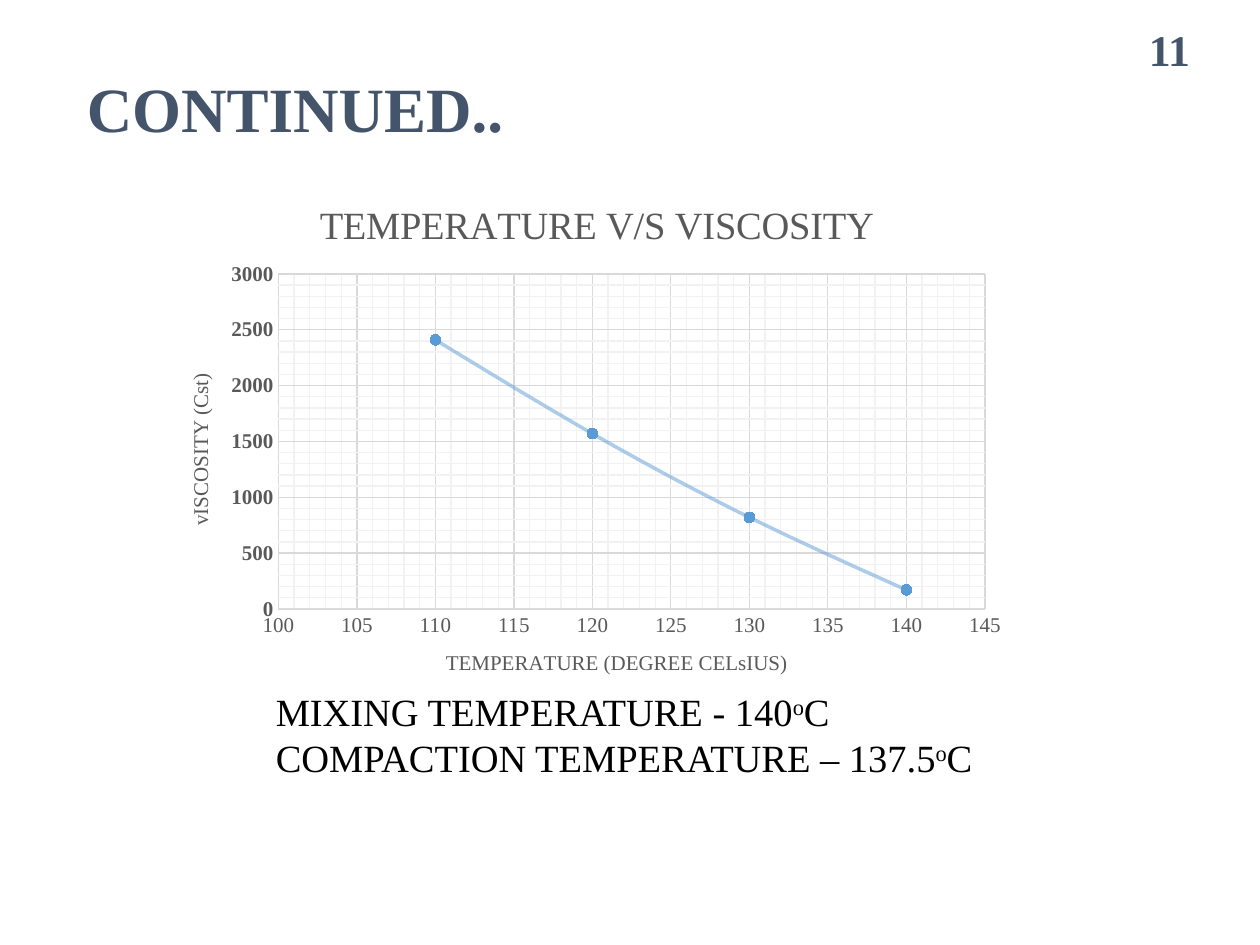
from copy import deepcopy

from lxml import etree
from pptx import Presentation
from pptx.chart.data import XyChartData
from pptx.dml.color import RGBColor
from pptx.enum.chart import XL_CHART_TYPE, XL_MARKER_STYLE, XL_TICK_MARK
from pptx.enum.text import MSO_ANCHOR
from pptx.oxml.ns import qn
from pptx.util import Cm, Pt

SMOOTH_SCATTER = XL_CHART_TYPE.XY_SCATTER_SMOOTH
CIRCLE = XL_MARKER_STYLE.CIRCLE
NO_TICK = XL_TICK_MARK.NONE
TOP, MIDDLE = MSO_ANCHOR.TOP, MSO_ANCHOR.MIDDLE

FONT = "Times New Roman"
COLORS = {"heading": "44546A", "body": "000000", "chart_text": "595959",
          "curve": "5B9BD5", "major": "D9D9D9", "minor": "F2F2F2"}

HEADING = "CONTINUED.."
PAGE_NUMBER = "11"
RESULTS = [("MIXING TEMPERATURE - 140", "o", "C"),
           ("COMPACTION TEMPERATURE – 137.5", "o", "C")]
CHART_TITLE = "TEMPERATURE V/S VISCOSITY"
VISCOSITY = [(110, 2410), (120, 1570), (130, 820), (140, 170)]
TEMPERATURE_AXIS = {"title": "TEMPERATURE (DEGREE CELsIUS)", "range": (100, 145),
                    "units": (5, 1), "bold": False, "title_at": {"x": 0.33, "y": 0.9}}
VISCOSITY_AXIS = {"title": "vISCOSITY (Cst)", "range": (0, 3000),
                  "units": (500, 100), "bold": True, "title_at": {"x": 0.03, "y": 0.38}}
PLOT_AREA = {"x": 0.14, "y": 0.2, "w": 0.82, "h": 0.63}


def color(name):
    return RGBColor.from_string(COLORS[name])


def style_font(font, size, color_name, bold=False):
    font.name = FONT
    font.size = Pt(size)
    font.bold = bold
    font.color.rgb = color(color_name)


def add_text(page, place, lines, size, color_name, bold=False, anchor=TOP, wrap=True):
    box = page.shapes.add_textbox(*(Cm(length) for length in place))
    frame = box.text_frame
    frame.word_wrap = wrap
    frame.vertical_anchor = anchor
    for number, pieces in enumerate(lines):
        para = frame.add_paragraph() if number else frame.paragraphs[0]
        style_font(para.font, size, color_name, bold)
        for piece in pieces:
            span = para.add_run()
            span.text = piece
            if piece == "o":
                span._r.get_or_add_rPr().set("baseline", "30000")
    return frame


def set_layout(element, index, fractions, inner=False):
    for old in element.findall(qn("c:layout")):
        element.remove(old)
    layout = etree.Element(qn("c:layout"))
    manual = etree.SubElement(layout, qn("c:manualLayout"))
    settings = [("layoutTarget", "inner")] if inner else []
    settings += [("xMode", "edge"), ("yMode", "edge"), *fractions.items()]
    for tag, value in settings:
        etree.SubElement(manual, qn("c:" + tag)).set("val", str(value))
    element.insert(index, layout)


def add_title(title, text, size, place):
    para = title.text_frame.paragraphs[0]
    para.text = text
    style_font(para.font, size, "chart_text")
    set_layout(title._element, 1, place)


def style_gridlines(axis):
    axis.has_major_gridlines = axis.has_minor_gridlines = True
    line = axis.major_gridlines.format.line
    line.color.rgb = color("major")
    line.width = Pt(0.75)
    major = axis._element.find(qn("c:majorGridlines"))
    minor = axis._element.find(qn("c:minorGridlines"))
    minor.append(deepcopy(major.find(qn("c:spPr"))))
    minor.find(".//" + qn("a:srgbClr")).set("val", COLORS["minor"])


def style_axis(axis, content):
    axis.minimum_scale, axis.maximum_scale = content["range"]
    axis.major_unit, axis.minor_unit = content["units"]
    axis.major_tick_mark = axis.minor_tick_mark = NO_TICK
    style_gridlines(axis)
    axis.format.line.fill.background()
    style_font(axis.tick_labels.font, 12, "chart_text", content["bold"])
    add_title(axis.axis_title, content["title"], 12, content["title_at"])


def add_viscosity_chart(page):
    data = XyChartData()
    points = data.add_series("Series 1")
    for temperature, viscosity in VISCOSITY:
        points.add_data_point(temperature, viscosity)
    chart = page.shapes.add_chart(SMOOTH_SCATTER, Cm(3.18), Cm(3.38),
                                  Cm(17.37), Cm(10.72), data).chart
    chart.has_legend = False
    style_font(chart.font, 10, "body")
    add_title(chart.chart_title, CHART_TITLE, 22, {"x": 0.18, "y": 0.05})
    style_axis(chart.category_axis, TEMPERATURE_AXIS)
    style_axis(chart.value_axis, VISCOSITY_AXIS)
    plot = chart.plots[0]
    plot.vary_by_categories = False
    plot_area = chart._chartSpace.find(".//" + qn("c:plotArea"))
    set_layout(plot_area, 0, PLOT_AREA, inner=True)

    curve = plot.series[0]
    curve._element.get_or_add_smooth().val = True
    curve.format.line.width = Pt(2)
    curve.format.line.color.rgb = color("curve")
    tint = curve._element.find(qn("c:spPr")).find(".//" + qn("a:srgbClr"))
    etree.SubElement(tint, qn("a:alpha")).set("val", "50000")
    curve.marker.style = CIRCLE
    curve.marker.size = 6
    curve.marker.format.fill.solid()
    curve.marker.format.fill.fore_color.rgb = color("curve")
    curve.marker.format.line.fill.background()


def main():
    deck = Presentation()
    deck.slide_width, deck.slide_height = Cm(25.4), Cm(19.05)
    page = deck.slides.add_slide(deck.slide_layouts[6])
    heading = add_text(page, (1.5, 0.43, 17.63, 3.66), [[HEADING]], 36, "heading",
                       bold=True, anchor=MIDDLE)
    heading.paragraphs[0].line_spacing = 0.9
    add_viscosity_chart(page)
    add_text(page, (5.31, 13.75, 15.95, 2.1), RESULTS, 22, "body")
    add_text(page, (22.91, 0.33, 1.35, 1.32), [[PAGE_NUMBER]], 25, "heading",
             bold=True, wrap=False)
    deck.save("out.pptx")


if __name__ == "__main__":
    main()
